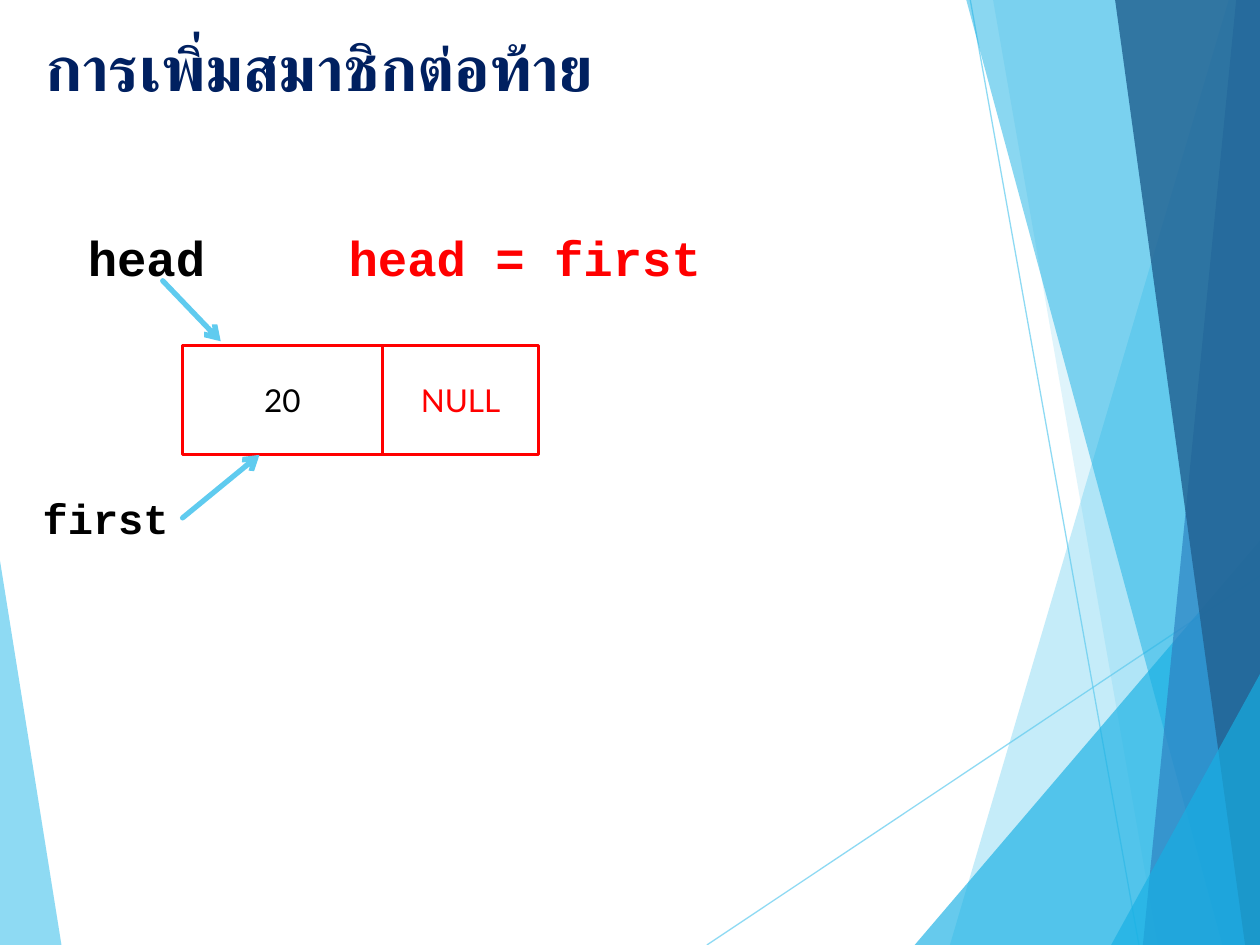
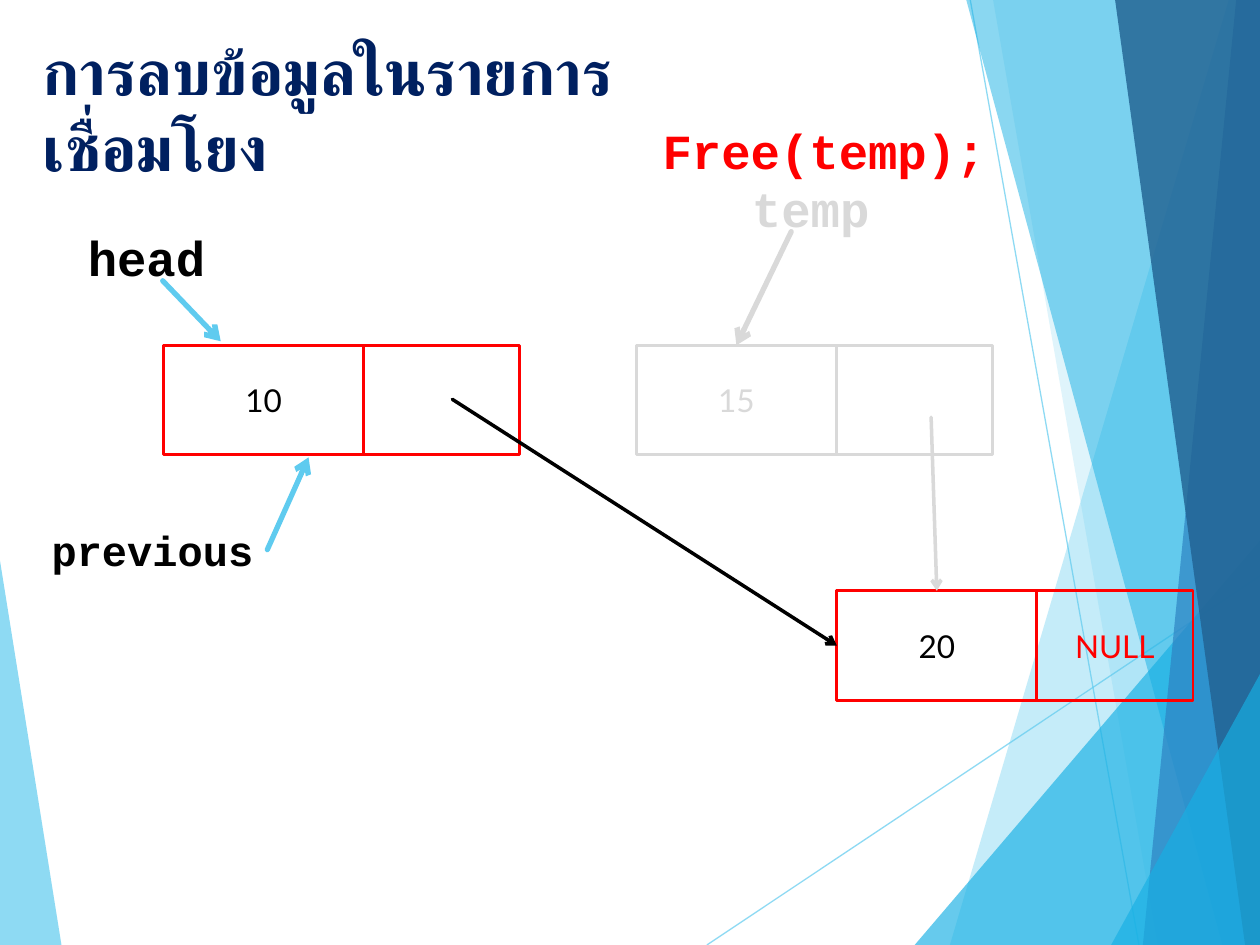
from dataclasses import dataclass

from lxml import etree
from pptx import Presentation
from pptx.dml.color import RGBColor
from pptx.enum.shapes import MSO_CONNECTOR, MSO_SHAPE
from pptx.enum.text import MSO_ANCHOR, MSO_AUTO_SIZE, PP_ALIGN
from pptx.oxml.ns import qn
from pptx.util import Cm, Pt

STRAIGHT = MSO_CONNECTOR.STRAIGHT
RECTANGLE = MSO_SHAPE.RECTANGLE
MIDDLE = MSO_ANCHOR.MIDDLE
CENTER = PP_ALIGN.CENTER
GROW = MSO_AUTO_SIZE.SHAPE_TO_FIT_TEXT
TOP, LEFT, RIGHT = 0, 1, 3

# Lengths are in centimetres, text sizes and line widths in points.
WIDTH, HEIGHT = 25.4, 19.05
NODE_HEIGHT, DATA_WIDTH, LINK_WIDTH = 2.21, 4.03, 3.15
LABEL_HEIGHTS = {28: 1.44, 24: 1.28}
NAVY, RED, BLACK, GREY = "002060", "FF0000", "000000", "D9D9D9"
SKY, CYAN, BLUE, DEEP = "5FCBEF", "17B0E4", "2E83C3", "226292"

TITLE_FONT = {"name": "Calibri", "size": Pt(36), "bold": True}
NODE_FONT = {"name": "Lato", "size": Pt(18)}
CODE_FONT = {"name": "Courier New", "bold": True}

Point = tuple[float, float]


@dataclass
class Facet:
    """Band from a start point down to a foot on the bottom edge, filled out to one side."""
    start: Point
    foot: float
    color: str
    opacity: int
    side: float = WIDTH


@dataclass
class Joint:
    """Middle of a side of the label or node that shows this text."""
    name: str
    site: int


@dataclass
class Arrow:
    start: Point | Joint
    end: Point | Joint
    color: str = SKY
    weight: float = 3


@dataclass
class Label:
    text: str
    left: float
    top: float
    width: float
    size: int = 28
    color: str = BLACK


@dataclass
class Node:
    data: str
    left: float
    top: float
    link: str = ""
    line_color: str = RED
    data_color: str = BLACK


@dataclass
class Title:
    text: str
    left: float
    top: float
    width: float
    height: float


@dataclass
class Diagram:
    title: Title
    labels: list[Label]
    nodes: list[Node]
    arrows: list[Arrow]


LEFT_FACET = Facet((0, 11.3), 1.24, SKY, 70, side=0)
RIGHT_FACETS = [
    Facet((24.77, 0), 19.15, SKY, 36),
    Facet((20.02, 0), 23.34, SKY, 20),
    Facet((WIDTH, 10.9), 18.44, CYAN, 66),
    Facet((19.48, 0), 24.64, CYAN, 50),
    Facet((24.92, 0), 23.04, BLUE, 70),
    Facet((22.48, 0), 25.1, DEEP, 82),
    Facet((WIDTH, 13.59), 22.4, CYAN, 66),
]
HAIRLINES = [((14.25, HEIGHT), (WIDTH, 11.61)), ((19.56, 0), (22.96, HEIGHT))]

HEAD_LABEL = Label("head", 1.52, 4.47, 3.51)
HEAD_ARROW = Arrow((3.28, 5.66), (4.45, 6.88))

DIAGRAMS = [
    Diagram(
        Title("การเพิ่มสมาชิกต่อท้าย", 0.66, 0.46, 12.62, 2.36),
        [HEAD_LABEL,
         Label("first", 0.61, 9.8, 3.07, 24),
         Label("head = first", 6.78, 4.47, 7.67, color=RED)],
        [Node("20", 3.68, 6.96, "NULL")],
        [HEAD_ARROW, Arrow(Joint("first", RIGHT), (5.23, 9.17))],
    ),
    Diagram(
        Title("การลบข้อมูลในรายการเชื่อมโยง", 0.61, 0.53, 14.22, 2.01),
        [HEAD_LABEL,
         Label("previous", 0.79, 10.44, 4.6, 24),
         Label("temp", 14.91, 3.48, 3.51, color=GREY),
         Label("Free(temp);", 13.11, 2.31, 7.09, color=RED)],
        [Node("10", 3.3, 6.96),
         Node("15", 12.83, 6.96, line_color=GREY, data_color=GREY),
         Node("20", 16.87, 11.91, "NULL")],
        [HEAD_ARROW,
         Arrow(Joint("previous", RIGHT), (6.22, 9.22)),
         Arrow((9.12, 8.05), Joint("20", LEFT), BLACK, 2),
         Arrow((18.77, 8.41), Joint("20", TOP), GREY, 2),
         Arrow((15.95, 4.67), Joint("15", TOP), GREY)],
    ),
]


def rgb(color: str) -> RGBColor:
    return RGBColor.from_string(color)


def set_opacity(element, percent: int) -> None:
    color = element.find(".//" + qn("a:srgbClr"))
    etree.SubElement(color, qn("a:alpha"), val=str(percent * 1000))


def write(box, text: str, color: str, font_values: dict, align=None) -> None:
    para = box.text_frame.paragraphs[0]
    para.alignment = align
    span = para.add_run()
    span.text = text
    for name, value in font_values.items():
        setattr(span.font, name, value)
    span.font.color.rgb = rgb(color)


def add_text_box(page, left: float, top: float, width: float, height: float):
    return page.shapes.add_textbox(Cm(left), Cm(top), Cm(width), Cm(height))


def draw_line(page, start: Point, end: Point, color: str, weight: float):
    line = page.shapes.add_connector(STRAIGHT, *map(Cm, start + end))
    line.line.color.rgb = rgb(color)
    line.line.width = Pt(weight)
    etree.SubElement(line._element.spPr, qn("a:effectLst"))
    return line


def draw_facet(page, facet: Facet) -> None:
    corners = [(facet.foot, HEIGHT), (facet.side, HEIGHT), (facet.side, facet.start[1])]
    builder = page.shapes.build_freeform(*map(Cm, facet.start))
    builder.add_line_segments([(Cm(x), Cm(y)) for x, y in corners])
    band = builder.convert_to_shape()
    band.shadow.inherit = False
    band.fill.solid()
    band.fill.fore_color.rgb = rgb(facet.color)
    set_opacity(band._element.spPr, facet.opacity)
    band.line.fill.background()


def draw_background(page) -> None:
    draw_facet(page, LEFT_FACET)
    for start, end in HAIRLINES:
        hairline = draw_line(page, start, end, SKY, 0.75)
        set_opacity(hairline._element.spPr, 70)
    for facet in RIGHT_FACETS:
        draw_facet(page, facet)


def draw_title(page, title: Title) -> None:
    box = add_text_box(page, title.left, title.top, title.width, title.height)
    box.text_frame.word_wrap = True
    write(box, title.text, NAVY, TITLE_FONT)


def draw_label(page, label: Label):
    box = add_text_box(page, label.left, label.top, label.width, LABEL_HEIGHTS[label.size])
    box.text_frame.word_wrap = False
    box.text_frame.auto_size = GROW
    write(box, label.text, label.color, CODE_FONT | {"size": Pt(label.size)})
    return box


def draw_cell(page, left: float, top: float, width: float, line_color: str,
              text: str, text_color: str):
    cell = page.shapes.add_shape(RECTANGLE, Cm(left), Cm(top), Cm(width), Cm(NODE_HEIGHT))
    cell.shadow.inherit = False
    cell.fill.background()
    cell.line.color.rgb = rgb(line_color)
    cell.line.width = Pt(1.5)
    cell.text_frame.vertical_anchor = MIDDLE
    if text:
        write(cell, text, text_color, NODE_FONT, CENTER)
    return cell


def draw_node(page, node: Node):
    """Draw the data and link cells and return the data cell."""
    data_cell = draw_cell(page, node.left, node.top, DATA_WIDTH, node.line_color,
                          node.data, node.data_color)
    draw_cell(page, node.left + DATA_WIDTH, node.top, LINK_WIDTH, node.line_color,
              node.link, node.line_color)
    return data_cell


def draw_arrow(page, arrow: Arrow, placed: dict) -> None:
    """Draw an arrow; joints are looked up among the placed labels and nodes."""
    ends = [(0, 0) if isinstance(end, Joint) else end for end in (arrow.start, arrow.end)]
    line = draw_line(page, *ends, arrow.color, arrow.weight)
    for end, connect in ((arrow.start, line.begin_connect), (arrow.end, line.end_connect)):
        if isinstance(end, Joint):
            connect(placed[end.name], end.site)
    outline = line.line._get_or_add_ln()
    outline.set("cap", "rnd")
    etree.SubElement(outline, qn("a:tailEnd"), type="arrow")


def draw_diagram(page, diagram: Diagram) -> None:
    draw_background(page)
    draw_title(page, diagram.title)
    placed = {label.text: draw_label(page, label) for label in diagram.labels}
    placed |= {node.data: draw_node(page, node) for node in diagram.nodes}
    for arrow in diagram.arrows:
        draw_arrow(page, arrow, placed)


def main() -> None:
    deck = Presentation()
    deck.slide_width, deck.slide_height = Cm(WIDTH), Cm(HEIGHT)
    blank = deck.slide_layouts[6]
    for diagram in DIAGRAMS:
        draw_diagram(deck.slides.add_slide(blank), diagram)
    deck.save("out.pptx")


if __name__ == "__main__":
    main()
